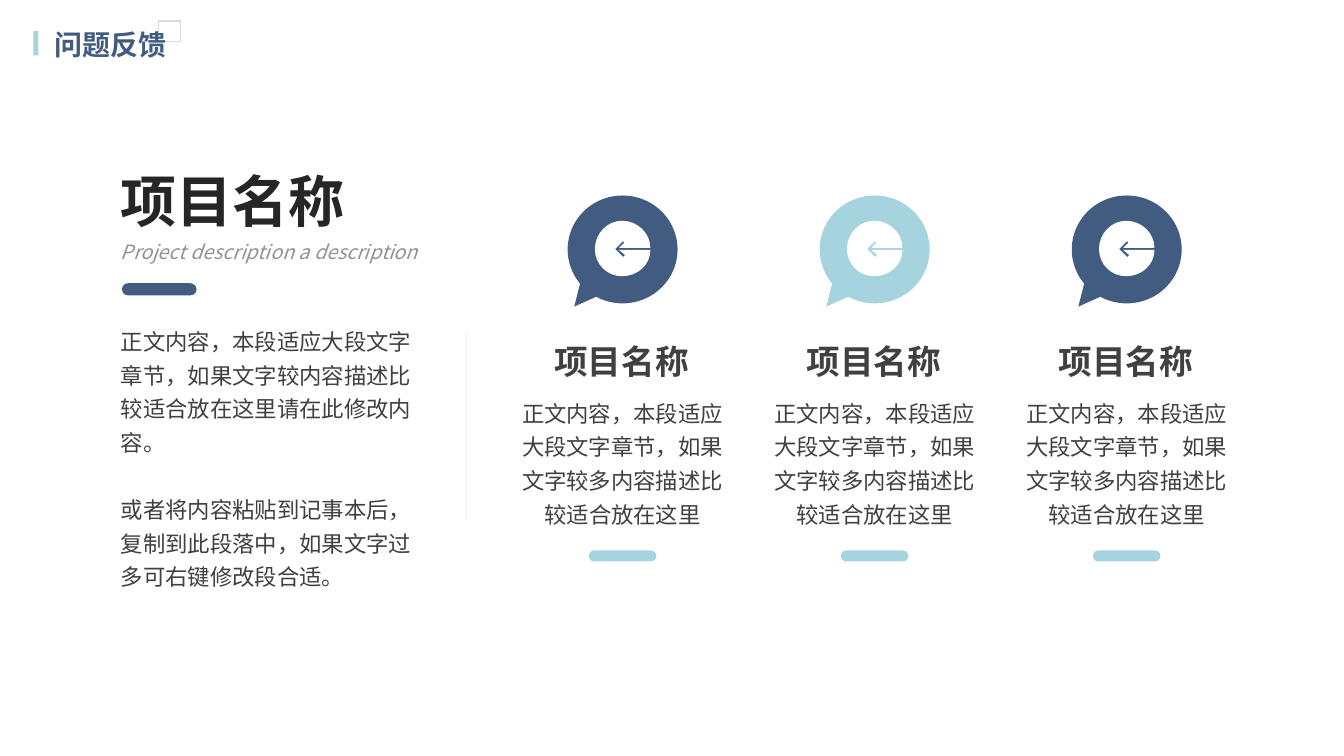
"""Build the feedback slide: an introduction on the left and three callout columns."""
from lxml import etree
from pptx import Presentation
from pptx import util as u
from pptx.dml import color
from pptx.enum import shapes, text
from pptx.oxml import ns

FONT = "Noto Sans CJK SC"
NAVY, AQUA, WHITE, GRAY, DARK, BODY = "425C81", "A5D4DE", "FFFFFF", "D9D9D9", "262626", "404040"
RECTANGLE = shapes.MSO_SHAPE.RECTANGLE
ROUNDED = shapes.MSO_SHAPE.ROUNDED_RECTANGLE
CALLOUT = shapes.MSO_SHAPE.OVAL_CALLOUT

presentation = Presentation()
presentation.slide_width = u.Inches(13.33)
presentation.slide_height = u.Inches(7.5)
slide = presentation.slides.add_slide(presentation.slide_layouts[6])


def paint(fill, value, alpha=100):
    fill.solid()
    fill.fore_color.rgb = color.RGBColor.from_string(value)
    if alpha < 100:
        element = fill._xPr.find(".//" + ns.qn("a:srgbClr"))
        etree.SubElement(element, ns.qn("a:alpha"), val=str(alpha * 1000))


def add_text(box, paragraphs, size, value, alpha=100, bold=False, italic=False,
             wrap=False, align=text.PP_ALIGN.LEFT):
    shape = slide.shapes.add_textbox(*map(u.Inches, box))
    frame = shape.text_frame
    frame.word_wrap = wrap
    frame.auto_size = text.MSO_AUTO_SIZE.SHAPE_TO_FIT_TEXT
    frame.text = "\n".join(paragraphs)
    for paragraph in frame.paragraphs:
        paragraph.alignment = align
        if wrap:
            paragraph.line_spacing = u.Pt(24)
        font = paragraph.font
        font.size, font.bold, font.italic = u.Pt(size), bold, italic
        paint(font.fill, value, alpha)
        font.name = FONT
        latin = font._rPr.find(ns.qn("a:latin"))
        latin.addnext(latin.makeelement(ns.qn("a:ea"), {"typeface": FONT}))
    return frame


blocks = [
    (RECTANGLE, (0.33, 0.31, 0.05, 0.24), AQUA, ()),
    (ROUNDED, (1.21, 2.81, 0.74, 0.12), NAVY, (0.5,)),
]
columns = [5.63 + 2.5 * index for index in range(3)]
for left, value in zip(columns, (NAVY, AQUA, NAVY)):
    blocks.append((CALLOUT, (left, 1.94, 1.09, 1.07), value, (-0.44, 0.53)))
    blocks.append((ROUNDED, (left + 0.21, 5.46, 0.67, 0.11), AQUA, (0.5,)))

for kind, box, value, adjustments in blocks:
    block = slide.shapes.add_shape(kind, *map(u.Inches, box))
    block.shadow.inherit = False
    paint(block.fill, value)
    block.line.fill.background()
    for index, adjustment in enumerate(adjustments):
        block.adjustments[index] = adjustment

bottom = (0.27, 0.55)
left_arcs = [(0.12, 0.55), (0, 0.43), (0, 0.28), (0, 0.13), (0.12, 0), (0.27, 0),
             (0.42, 0), (0.55, 0.12), (0.55, 0.27)]
arrow = [(0.24, 0.27), (0.29, 0.22), (0.28, 0.2), (0.2, 0.28),
         (0.28, 0.36), (0.3, 0.34), (0.24, 0.29), (0.55, 0.29)]
last_arc = [(0.55, 0.44), (0.42, 0.55), bottom]
curve_starts = (0, 3, 6, len(left_arcs) + len(arrow))

for left in columns:
    points = [(u.Inches(left + 0.27 + x), u.Inches(2.19 + y))
              for x, y in [bottom] + left_arcs + arrow + last_arc]
    builder = slide.shapes.build_freeform(*points[0])
    builder.add_line_segments(points[1:], close=True)
    icon = builder.convert_to_shape()
    segments = list(icon._element.iter(ns.qn("a:lnTo")))
    for start in curve_starts:
        curve = etree.Element(ns.qn("a:cubicBezTo"))
        segments[start].addprevious(curve)
        for segment in segments[start:start + 3]:
            curve.append(segment[0])
            segment.getparent().remove(segment)
    icon.shadow.inherit = False
    paint(icon.fill, WHITE)
    icon.line.fill.background()

    add_text((left - 0.23, 3.33, 1.58, 0.5), ["项目名称"], 24, BODY, bold=True)
    add_text((left - 0.59, 3.85, 2.27, 1.42),
             ["正文内容，本段适应大段文字章节，如果文字较多内容描述比较适合放在这里"],
             16, BODY, wrap=True, align=text.PP_ALIGN.CENTER)

introduction = add_text((1.1, 3.14, 3.21, 2.76), [
    "正文内容，本段适应大段文字章节，如果文字较内容描述比较适合放在这里请在此修改内容。",
    "或者将内容粘贴到记事本后，复制到此段落中，如果文字过多可右键修改段合适。",
], 16, BODY, wrap=True)
introduction.paragraphs[0].space_after = u.Pt(24)
add_text((1.1, 1.6, 2.51, 0.77), ["项目名称"], 40, DARK, bold=True)
add_text((1.1, 2.33, 3.21, 0.34), ["Project description a description"], 14, DARK,
         alpha=50, italic=True)

divider = slide.shapes.add_connector(
    shapes.MSO_CONNECTOR.STRAIGHT, *map(u.Inches, (4.63, 3.29, 4.63, 5.15)))
paint(divider.line.fill, GRAY, 50)
divider.line.width = u.Pt(0.5)
etree.SubElement(divider._element.spPr, ns.qn("a:effectLst"))

square = slide.shapes.add_shape(RECTANGLE, *map(u.Inches, (1.57, 0.21, 0.22, 0.2)))
square.shadow.inherit = False
square.fill.background()
paint(square.line.fill, GRAY)
square.line.width = u.Pt(1)
add_text((0.44, 0.22, 1.35, 0.44), ["问题反馈"], 20, NAVY, bold=True)

presentation.save("out.pptx")
